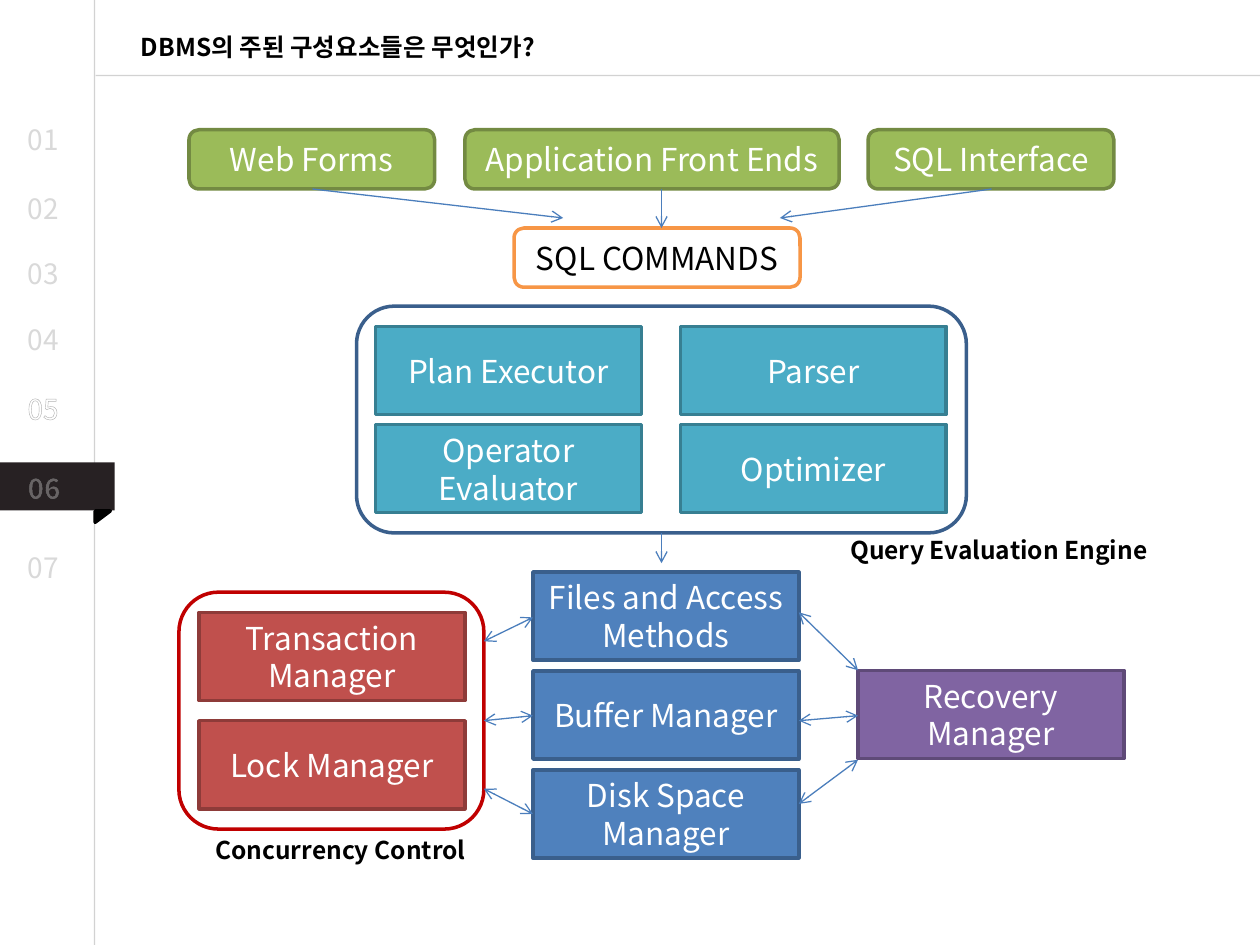
from dataclasses import dataclass
from typing import Optional

from lxml.etree import SubElement
from pptx import Presentation
from pptx.dml.color import RGBColor
from pptx.enum.shapes import MSO_CONNECTOR, MSO_SHAPE as Shape
from pptx.enum.text import MSO_ANCHOR, MSO_AUTO_SIZE, PP_ALIGN
from pptx.oxml.ns import qn
from pptx.util import Inches, Pt

KR, TC = "Noto Sans CJK KR", "Noto Sans CJK TC"
COLORS = {
    "white": "FFFFFF", "black": "000000", "rule": "A6A6A6", "tab": "272123",
    "muted": "D9D9D9", "arrow": "4B7EBC", "crimson": "C00000", "orange": "F79646",
    "green": "9BBB59", "green_line": "738A42", "teal": "4BACC6", "teal_line": "377F92",
    "red": "C0504D", "red_line": "8E3B39", "blue": "4F81BD", "blue_line": "3A5F8C",
    "purple": "8064A2", "purple_line": "5F4A78",
}
BOX_W, BOX_H = 2.11, 0.7
FORM_Y, FORM_H = 1.03, 0.47


@dataclass
class Box:
    x: float
    y: float
    w: float
    h: float
    fill: Optional[str] = None
    line: Optional[str] = None
    text: str = ""
    color: str = "white"
    kind: Shape = Shape.RECTANGLE
    rotation: float = 0


@dataclass
class Label:
    text: str
    x: float
    y: float
    w: float
    h: float
    size: float = 14
    color: str = "black"
    font: str = TC
    bold: bool = True
    spacing: Optional[float] = None
    outlined: bool = False


@dataclass
class Line:
    x1: float
    y1: float
    x2: float
    y2: float
    head: bool = False
    tail: bool = True
    color: str = "arrow"
    alpha: Optional[int] = None


def rgb(name: str) -> RGBColor:
    return RGBColor.from_string(COLORS[name])


def write(tf, text: str, size: float, color: str, font: str, bold: bool = False):
    """Fill the first paragraph and return it with its run properties."""
    p = tf.paragraphs[0]
    p.font.size, p.font.bold, p.font.name = Pt(size), bold, font
    p.font.color.rgb = rgb(color)
    r = p.add_run()
    r.text = text
    r_pr = r._r.get_or_add_rPr()
    SubElement(r_pr, qn("a:ea"), typeface=font)
    return p, r_pr


def add_box(slide, box: Box) -> None:
    sp = slide.shapes.add_shape(
        box.kind, Inches(box.x), Inches(box.y), Inches(box.w), Inches(box.h))
    sp.shadow.inherit = False
    sp.rotation = box.rotation
    if box.fill:
        sp.fill.solid()
        sp.fill.fore_color.rgb = rgb(box.fill)
    else:
        sp.fill.background()
    if box.line:
        sp.line.color.rgb = rgb(box.line)
        sp.line.width = Pt(2)
    else:
        sp.line.fill.background()
    if box.text:
        tf = sp.text_frame
        tf.word_wrap = True
        tf.vertical_anchor = MSO_ANCHOR.MIDDLE
        p, _ = write(tf, box.text, 18, box.color, KR)
        p.alignment = PP_ALIGN.CENTER


def add_label(slide, label: Label) -> None:
    tb = slide.shapes.add_textbox(
        Inches(label.x), Inches(label.y), Inches(label.w), Inches(label.h))
    tf = tb.text_frame
    tf.word_wrap = True
    tf.auto_size = MSO_AUTO_SIZE.SHAPE_TO_FIT_TEXT
    p, r_pr = write(tf, label.text, label.size, label.color, label.font, label.bold)
    if label.spacing:
        p.line_spacing = label.spacing
    if label.outlined:
        ln = SubElement(r_pr, qn("a:ln"), w=str(Pt(0.75)))
        r_pr.insert(0, ln)
        clr = SubElement(SubElement(ln, qn("a:solidFill")), qn("a:srgbClr"),
                         val=COLORS["black"])
        SubElement(clr, qn("a:alpha"), val="30000")


def add_line(slide, line: Line) -> None:
    cn = slide.shapes.add_connector(
        MSO_CONNECTOR.STRAIGHT, Inches(line.x1), Inches(line.y1),
        Inches(line.x2), Inches(line.y2))
    cn.line.color.rgb = rgb(line.color)
    cn.line.width = Pt(0.75)
    sp_pr = cn._element.spPr
    ln = sp_pr.find(qn("a:ln"))
    if line.alpha:
        clr = ln.find(".//" + qn("a:srgbClr"))
        SubElement(clr, qn("a:alpha"), val=str(line.alpha * 1000))
    for tag, wanted in (("a:headEnd", line.head), ("a:tailEnd", line.tail)):
        if wanted:
            SubElement(ln, qn(tag), type="arrow")
    SubElement(sp_pr, qn("a:effectLst"))


def main() -> None:
    prs = Presentation()
    prs.slide_width, prs.slide_height = Inches(10), Inches(7.5)
    slide = prs.slides.add_slide(prs.slide_layouts[6])

    # Page rules and the marker of the current section
    for ends in ((0.75, 0, 0.75, 7.5), (10, 0.6, 0.76, 0.6)):
        add_line(slide, Line(*ends, tail=False, color="rule", alpha=50))
    add_box(slide, Box(0, 3.67, 0.91, 0.38, "tab"))
    add_box(slide, Box(0.77, 4.04, 0.09, 0.12, "black", "black",
                       kind=Shape.RIGHT_TRIANGLE, rotation=90))

    # Section numbers and title
    for number, y in enumerate((0.92, 1.47, 1.99, 2.51, 3.06, 3.69, 4.32), 1):
        current = number == 6
        add_label(slide, Label(
            f"{number:02}", 0.12, y, 0.49, 0.37, 16,
            "white" if number in (5, 6) else "muted",
            TC if current else KR, current, outlined=True))
    add_label(slide, Label("DBMS의 주된 구성요소들은 무엇인가?", 1.02, -0.03, 4.92, 0.5,
                           font=KR, spacing=2))

    # Front ends and SQL commands
    for text, x, w in (("Web Forms", 1.5, 1.95), ("Application Front Ends", 3.69, 2.97),
                       ("SQL Interface", 6.89, 1.95)):
        add_box(slide, Box(x, FORM_Y, w, FORM_H, "green", "green_line", text,
                           kind=Shape.ROUNDED_RECTANGLE))
    add_box(slide, Box(4.08, 1.81, 2.27, FORM_H, "white", "orange", "SQL COMMANDS",
                       "black", Shape.ROUNDED_RECTANGLE))

    # Component grids: left, top, column step, row step, colour, rows of names
    grids = (
        (2.98, 2.59, 2.42, 0.78, "teal",
         (("Plan Executor", "Parser"), ("Operator Evaluator", "Optimizer"))),
        (1.58, 4.86, 0, 0.86, "red", (("Transaction Manager",), ("Lock Manager",))),
        (4.23, 4.54, 0, 0.785, "blue",
         (("Files and Access Methods",), ("Buffer Manager",), ("Disk Space Manager",))),
        (6.81, 5.32, 0, 0, "purple", (("Recovery Manager",),)),
    )
    for left, top, dx, dy, color, rows in grids:
        for i, row in enumerate(rows):
            for j, text in enumerate(row):
                add_box(slide, Box(left + j * dx, top + i * dy, BOX_W, BOX_H,
                                   color, f"{color}_line", text))

    # Group frames and their captions
    for frame, color in (((2.98 - 0.15, 2.43, 4.84, 1.8), "blue_line"),
                         ((1.42, 4.7, 2.42, 1.88), "crimson")):
        add_box(slide, Box(*frame, line=color, kind=Shape.ROUNDED_RECTANGLE))
    add_label(slide, Label("Query Evaluation Engine", 6.65, 4.2, 3, 0.34))
    add_label(slide, Label("Concurrency Control", 1.61, 6.58, 2.56, 0.34))

    # Downward flow
    for ends in ((5.25, 1.5, 5.25, 1.81), (2.48, 1.5, 4.47, 1.73),
                 (7.87, 1.5, 6.19, 1.73), (5.25, 4.23, 5.25, 4.47)):
        add_line(slide, Line(*ends))

    # Two-way links on both sides of the storage stack
    links = ((3.84, 4.23, ((5.09, 4.9), (5.72, 5.68), (6.26, 6.46))),
             (6.34, 6.81, ((4.86, 5.32), (5.72, 5.68), (6.38, 6.03))))
    for x1, x2, heights in links:
        for y1, y2 in heights:
            add_line(slide, Line(x1, y1, x2, y2, head=True))

    prs.save("out.pptx")


if __name__ == "__main__":
    main()
